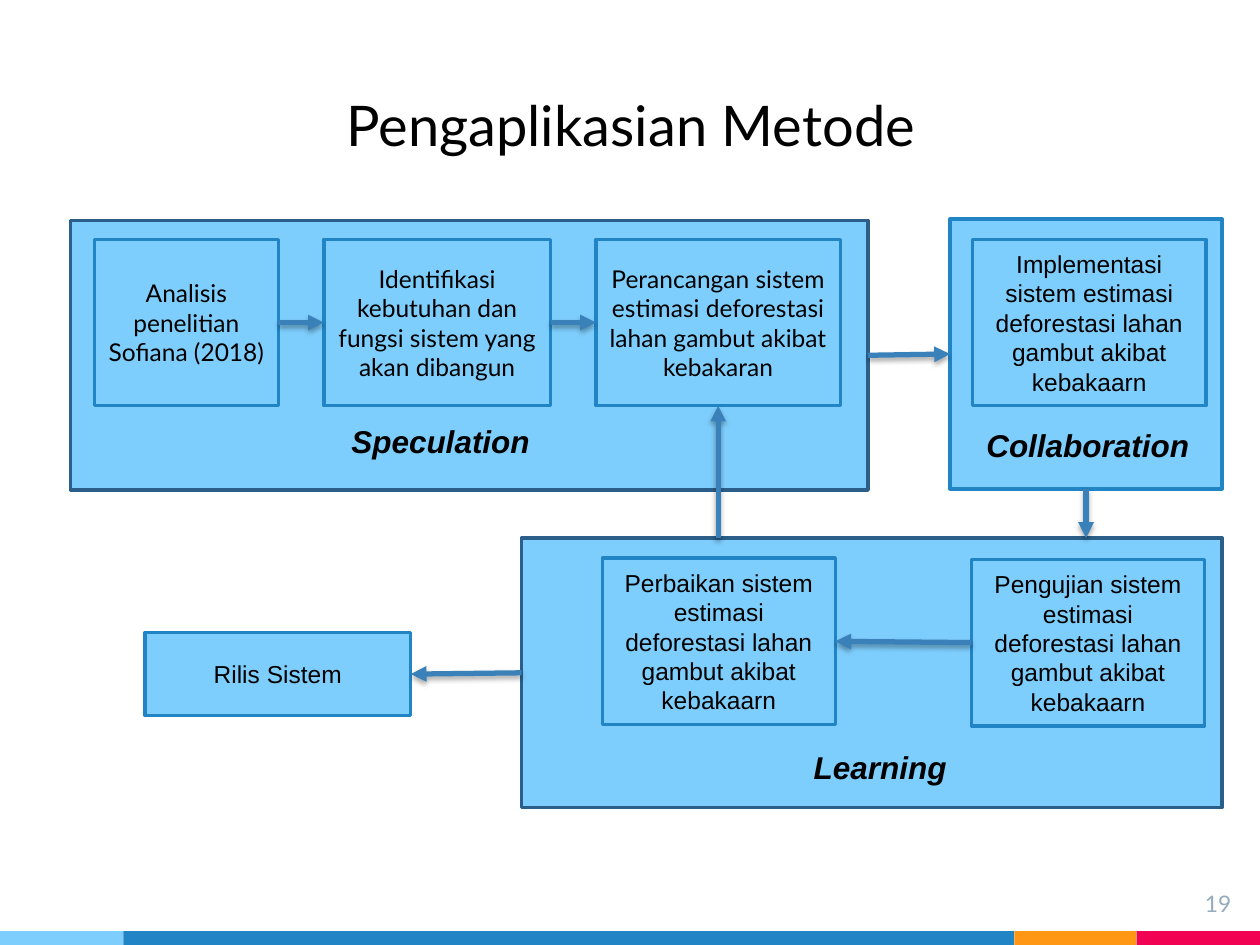
from lxml.etree import SubElement
from pptx import Presentation
from pptx.dml.color import RGBColor
from pptx.enum.shapes import MSO_CONNECTOR, MSO_SHAPE
from pptx.enum.text import MSO_ANCHOR, PP_ALIGN
from pptx.oxml.ns import qn
from pptx.util import Inches, Pt

WIDTH, HEIGHT = 10, 7.5
SKY, BLUE, NAVY, ARROW, BLACK = "7ECEFD", "2185C5", "2B5F8A", "3A81BA", "000000"
TOP, LEFT, BOTTOM, RIGHT = range(4)
PANEL_HEIGHT, STEP_HEIGHT, STEP_TOP = 2.14, 1.32, 1.9

# Footer stripe: colour and share of the slide's width
STRIPE = [(SKY, 0.098), (BLUE, 0.707), ("FF9715", 0.097), ("F20253", 0.098)]
STRIPE_HEIGHT = 0.11

# Phases: left, top, width, outline
PANELS = {
    "speculation": (0.56, 1.75, 6.33, NAVY),
    "collaboration": (7.54, 1.74, 2.16, BLUE),
    "learning": (4.14, 4.27, 5.56, NAVY),
}

# Steps: text, font, left, top, width, height
STEPS = {
    "analysis": ("Analisis penelitian Sofiana (2018) ", "Lato",
                 0.75, STEP_TOP, 1.46, STEP_HEIGHT),
    "needs": ("Identifikasi kebutuhan dan fungsi sistem yang akan dibangun", "Lato",
              2.57, STEP_TOP, 1.8, STEP_HEIGHT),
    "design": ("Perancangan sistem estimasi deforestasi lahan gambut akibat kebakaran",
               "Lato", 4.73, STEP_TOP, 1.94, STEP_HEIGHT),
    "build": ("Implementasi sistem estimasi deforestasi lahan gambut akibat kebakaarn",
              "Arial", 7.72, STEP_TOP, 1.85, STEP_HEIGHT),
    "test": ("Pengujian sistem estimasi deforestasi lahan gambut akibat kebakaarn",
             "Arial", 7.71, 4.44, 1.85, STEP_HEIGHT),
    "repair": ("Perbaikan sistem estimasi deforestasi lahan gambut akibat kebakaarn",
               "Arial", 4.78, 4.43, 1.85, STEP_HEIGHT),
    "release": ("Rilis Sistem", "Arial", 1.15, 5.02, 2.11, 0.66),
}

# Arrows: each end is (box, side) or a free point on a panel's edge
ARROWS = [
    (("analysis", RIGHT), ("needs", LEFT)),
    (("needs", RIGHT), ("design", LEFT)),
    (("speculation", RIGHT), ("collaboration", LEFT)),
    (("collaboration", BOTTOM), (8.62, 4.27)),
    (("test", LEFT), ("repair", RIGHT)),
    ((5.7, 4.27), ("design", BOTTOM)),
    (("learning", LEFT), ("release", RIGHT)),
]

# Free text: text, left, top, width, height, font format
PHASE = dict(name="Arial", size=Pt(18), bold=True, italic=True)
LABELS = [
    ("Pengaplikasian Metode", 2.65, 0.67, 4.78, 0.64, dict(name="Lato", size=Pt(32))),
    ("Speculation", 2.69, 3.3, 1.63, 0.4, PHASE),
    ("Collaboration", 7.73, 3.33, 1.83, 0.4, PHASE),
    ("Learning", 6.36, 5.89, 1.27, 0.4, PHASE),
]


def color(value):
    return RGBColor.from_string(value)


def write(shape, text, font_format, font_color=BLACK, align=PP_ALIGN.LEFT):
    paragraph = shape.text_frame.paragraphs[0]
    paragraph.alignment = align
    run = paragraph.add_run()
    run.text = text
    for name, value in font_format.items():
        setattr(run.font, name, value)
    run.font.color.rgb = color(font_color)


def add_box(slide, left, top, width, height, fill, outline=None):
    shape = slide.shapes.add_shape(
        MSO_SHAPE.RECTANGLE, *map(Inches, (left, top, width, height)))
    shape.shadow.inherit = False
    shape.fill.solid()
    shape.fill.fore_color.rgb = color(fill)
    if outline:
        shape.line.color.rgb = color(outline)
        shape.line.width = Pt(2)
    else:
        shape.line.fill.background()
    return shape


def add_label(slide, text, left, top, width, height, font_format, **style):
    box = slide.shapes.add_textbox(*map(Inches, (left, top, width, height)))
    write(box, text, font_format, **style)
    return box


def add_arrow(slide, boxes, start, end):
    points = [(0, 0) if isinstance(e[0], str) else e for e in (start, end)]
    arrow = slide.shapes.add_connector(
        MSO_CONNECTOR.STRAIGHT, *(Inches(n) for point in points for n in point))
    for join, (box, side) in ((arrow.begin_connect, start), (arrow.end_connect, end)):
        if box in boxes:
            join(boxes[box], side)
    arrow.line.color.rgb = color(ARROW)
    arrow.line.width = Pt(3)
    SubElement(arrow.line._get_or_add_ln(), qn("a:tailEnd"), type="triangle")
    # Soft shadow straight below the line
    effects = SubElement(arrow._element.spPr, qn("a:effectLst"))
    shadow = SubElement(effects, qn("a:outerShdw"), blurRad=str(Pt(3.1)),
                        dist=str(Pt(1.8)), dir="5400000", rotWithShape="0")
    shade = SubElement(shadow, qn("a:srgbClr"), val=BLACK)
    SubElement(shade, qn("a:alpha"), val="35000")


def main():
    presentation = Presentation()
    presentation.slide_width, presentation.slide_height = Inches(WIDTH), Inches(HEIGHT)
    slide = presentation.slides.add_slide(presentation.slide_layouts[6])

    # Footer stripe and page number
    left = 0
    for fill, share in STRIPE:
        add_box(slide, left, HEIGHT - STRIPE_HEIGHT, share * WIDTH, STRIPE_HEIGHT, fill)
        left += share * WIDTH
    number = add_label(slide, "19", 9.27, 6.96, 0.6, 0.46,
                       dict(name="Lato", size=Pt(13)),
                       font_color="97ABBC", align=PP_ALIGN.RIGHT)
    number.text_frame.word_wrap = True
    number.text_frame.margin_top = number.text_frame.margin_bottom = Inches(0.1)

    # Phase panels, then the steps on them
    boxes = {}
    for name, (left, top, width, outline) in PANELS.items():
        boxes[name] = add_box(slide, left, top, width, PANEL_HEIGHT, SKY, outline)
    for name, (text, font, *place) in STEPS.items():
        boxes[name] = add_box(slide, *place, SKY, BLUE)
        boxes[name].text_frame.word_wrap = True
        boxes[name].text_frame.vertical_anchor = MSO_ANCHOR.MIDDLE
        write(boxes[name], text, dict(name=font, size=Pt(14)), align=PP_ALIGN.CENTER)

    # Flow and headings
    for start, end in ARROWS:
        add_arrow(slide, boxes, start, end)
    for label in LABELS:
        add_label(slide, *label).text_frame.word_wrap = False

    presentation.save("out.pptx")


if __name__ == "__main__":
    main()
